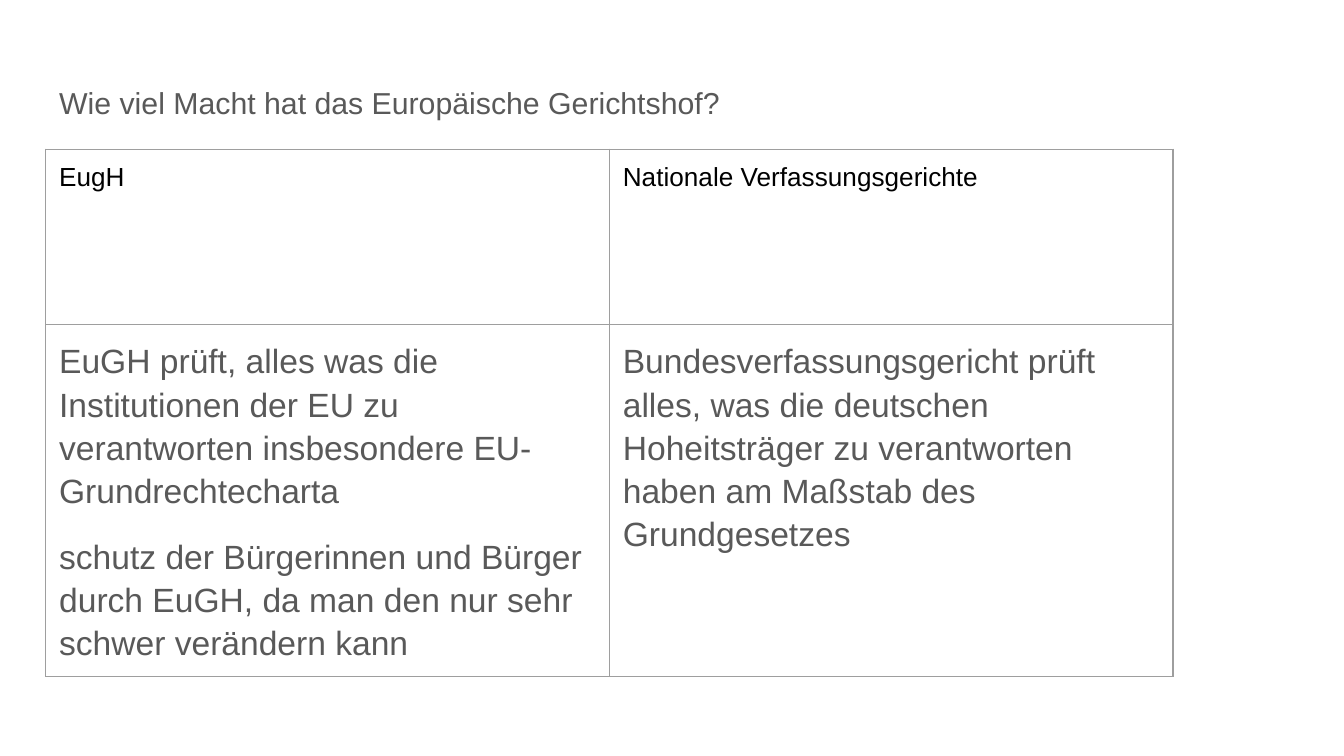
from pptx import Presentation
from pptx import util as u
from pptx.dml.color import RGBColor
from pptx.enum import text
from pptx.oxml import parse_xml
from pptx.oxml.ns import nsdecls

HUES = {"page": "FFFFFF", "ink": "000000", "gray": "595959", "rule": "9E9E9E"}
LEFT, INSET = 24.5, 7.2
HEADS = ["EugH", "Nationale Verfassungsgerichte"]
BODIES = [
    ["EuGH prüft, alles was die Institutionen der EU zu verantworten "
     "insbesondere EU-Grundrechtecharta",
     "schutz der Bürgerinnen und Bürger durch EuGH, da man den nur sehr "
     "schwer verändern kann"],
    ["Bundesverfassungsgericht prüft alles, was die deutschen Hoheitsträger "
     "zu verantworten haben am Maßstab des Grundgesetzes"],
]


def write(frame, lines, size=18, hue="gray", lead=1.15, gap=12):
    """Fill a text frame with one left-aligned paragraph per line."""
    for i, line in enumerate(lines):
        para = frame.paragraphs[0] if i == 0 else frame.add_paragraph()
        para.text = line
        para.alignment = text.PP_ALIGN.LEFT
        para.line_spacing = lead
        para.space_before = u.Pt(gap if i else 0)
        para.space_after = u.Pt(gap if i == len(lines) - 1 else 0)
        para.font.size = u.Pt(size)
        para.font.name = "Arial"
        para.font.color.rgb = RGBColor.from_string(HUES[hue])


def inset(box):
    """Set equal margins and top anchoring on a cell or text frame."""
    box.margin_left = box.margin_right = u.Pt(INSET)
    box.margin_top = box.margin_bottom = u.Pt(INSET)
    box.vertical_anchor = text.MSO_ANCHOR.TOP


def frame_cell(cell):
    """Draw all four borders and a plain fill."""
    props = cell._tc.get_or_add_tcPr()
    for side in ("lnL", "lnR", "lnT", "lnB"):
        props.append(parse_xml(
            f'<a:{side} {nsdecls("a")} w="{u.Pt(0.75)}"><a:solidFill>'
            f'<a:srgbClr val="{HUES["rule"]}"/></a:solidFill></a:{side}>'))
    cell.fill.solid()
    cell.fill.fore_color.rgb = RGBColor.from_string(HUES["page"])


def add_title(slide, line):
    title = slide.shapes.title
    title.left, title.top = u.Pt(LEFT), u.Pt(35)
    title.width, title.height = u.Pt(671), u.Pt(45)
    frame = title.text_frame
    frame.word_wrap = True
    frame.auto_size = text.MSO_AUTO_SIZE.NONE
    inset(frame)
    write(frame, [line], size=16.2)


def add_grid(slide):
    rows = [93.75, 188.25]
    wide = 302
    grid = slide.shapes.add_table(2, 2, u.Pt(LEFT), u.Pt(80),
                                  u.Pt(2 * wide), u.Pt(sum(rows))).table
    grid.first_row = grid.horz_banding = False
    for row, high in zip(grid.rows, rows):
        row.height = u.Pt(high)
    for col, (head, body) in enumerate(zip(HEADS, BODIES)):
        grid.columns[col].width = u.Pt(wide)
        write(grid.cell(0, col).text_frame, [head], size=14, hue="ink",
              lead=1.0, gap=0)
        write(grid.cell(1, col).text_frame, body)
    for cell in grid.iter_cells():
        inset(cell)
        frame_cell(cell)


def main():
    deck = Presentation()
    deck.slide_width, deck.slide_height = u.Pt(720), u.Pt(405)
    slide = deck.slides.add_slide(deck.slide_layouts[5])
    # Heading
    add_title(slide, "Wie viel Macht hat das Europäische Gerichtshof?")
    # Comparison of the courts
    add_grid(slide)
    deck.save("out.pptx")


if __name__ == "__main__":
    main()
